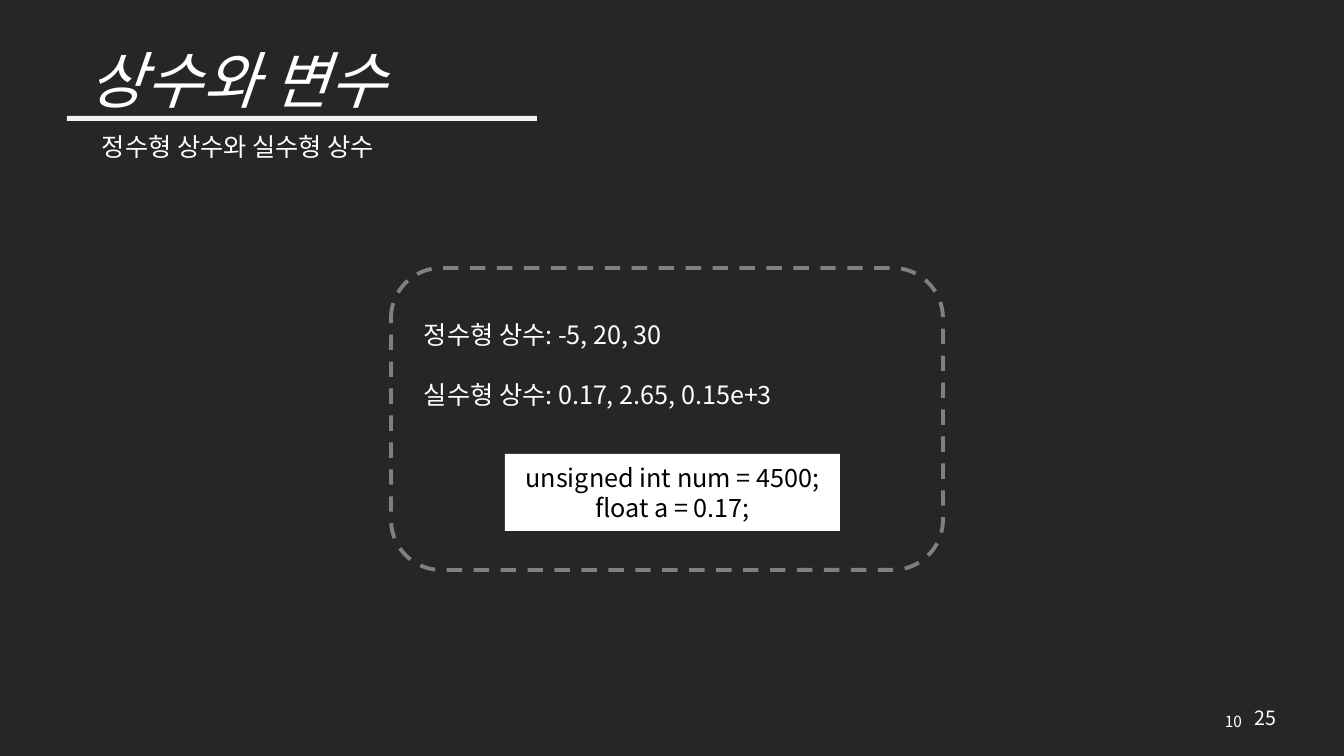
from lxml import etree
from pptx import Presentation
from pptx.dml.color import RGBColor
from pptx.enum.dml import MSO_LINE
from pptx.enum.shapes import MSO_SHAPE
from pptx.enum.text import MSO_ANCHOR, PP_ALIGN
from pptx.oxml.ns import qn
from pptx.util import Emu, Pt

RECTANGLE = MSO_SHAPE.RECTANGLE
ROUNDED = MSO_SHAPE.ROUNDED_RECTANGLE
DASH = MSO_LINE.DASH
TOP, MIDDLE = MSO_ANCHOR.TOP, MSO_ANCHOR.MIDDLE
LEFT, CENTER, RIGHT = PP_ALIGN.LEFT, PP_ALIGN.CENTER, PP_ALIGN.RIGHT

EMU_PER_PIXEL = 914400 / 100.8
KOREAN_FONT = "Noto Sans CJK KR"
WHITE, BLACK = "FFFFFF", "000000"
BACKGROUND, RULE, FRAME = "262626", "F2F2F2", "808080"


def px(pixels):
    """Convert pixels to EMU."""
    return Emu(round(pixels * EMU_PER_PIXEL))


def color(hex_string):
    """Convert a hex string to a colour."""
    return RGBColor.from_string(hex_string)


def write_text(shape, lines, ink=WHITE, align=LEFT, anchor=TOP, wrap=True,
               spacing=1.0, **font_values):
    """Fill a shape with one formatted paragraph per line."""
    values = {"size": Pt(18), "name": KOREAN_FONT, **font_values}
    frame = shape.text_frame
    frame.word_wrap = wrap
    frame.vertical_anchor = anchor
    frame.text = "\n".join(lines)
    for paragraph in frame.paragraphs:
        paragraph.alignment = align
        paragraph.line_spacing = spacing
        for run in paragraph.runs:
            for name, value in values.items():
                setattr(run.font, name, value)
            run.font.color.rgb = color(ink)
            east_asian = etree.SubElement(run.font._element, qn("a:ea"))
            east_asian.set("typeface", KOREAN_FONT)


def add_label(slide, box, text, **text_format):
    """Add a one-line text box."""
    label = slide.shapes.add_textbox(*map(px, box))
    write_text(label, [text], **text_format)


def add_panel(slide, kind, box, fill=None, outline=None):
    """Add a flat filled panel or a dashed frame."""
    panel = slide.shapes.add_shape(kind, *map(px, box))
    panel.shadow.inherit = False
    if fill:
        panel.fill.solid()
        panel.fill.fore_color.rgb = color(fill)
    else:
        panel.fill.background()
    if outline:
        panel.line.color.rgb = color(outline)
        panel.line.width = Pt(2.75)
        panel.line.dash_style = DASH
    else:
        panel.line.fill.background()
    return panel


def main():
    """Build and save the slide on constants and variables."""
    presentation = Presentation()
    presentation.slide_width, presentation.slide_height = px(1344), px(756)
    slide = presentation.slides.add_slide(presentation.slide_layouts[6])
    slide.background.fill.solid()
    slide.background.fill.fore_color.rgb = color(BACKGROUND)

    add_label(slide, (1245, 701, 42, 34), "25", size=Pt(14), wrap=False)
    add_label(slide, (35, 29, 419, 109), "상수와 변수 ", size=Pt(44),
              italic=True, align=CENTER, anchor=MIDDLE, spacing=0.9)
    add_label(slide, (950, 701, 302, 40), "10", size=Pt(11),
              align=RIGHT, anchor=MIDDLE)
    add_panel(slide, RECTANGLE, (67, 116, 470, 5), fill=RULE)
    add_label(slide, (92, 126, 317, 40), "정수형 상수와 실수형 상수", name="Calibri")

    add_panel(slide, ROUNDED, (391, 268, 552, 302), outline=FRAME)
    examples = ["정수형 상수: -5, 20, 30", "실수형 상수: 0.17, 2.65, 0.15e+3"]
    for index, example in enumerate(examples):
        add_label(slide, (414, 314 + 60 * index, 517, 40), example)
    code = add_panel(slide, RECTANGLE, (505, 454, 335, 77), fill=WHITE)
    write_text(code, ["unsigned int num = 4500;", "float a = 0.17;"],
               ink=BLACK, align=CENTER, anchor=MIDDLE)

    presentation.save("out.pptx")


main()
